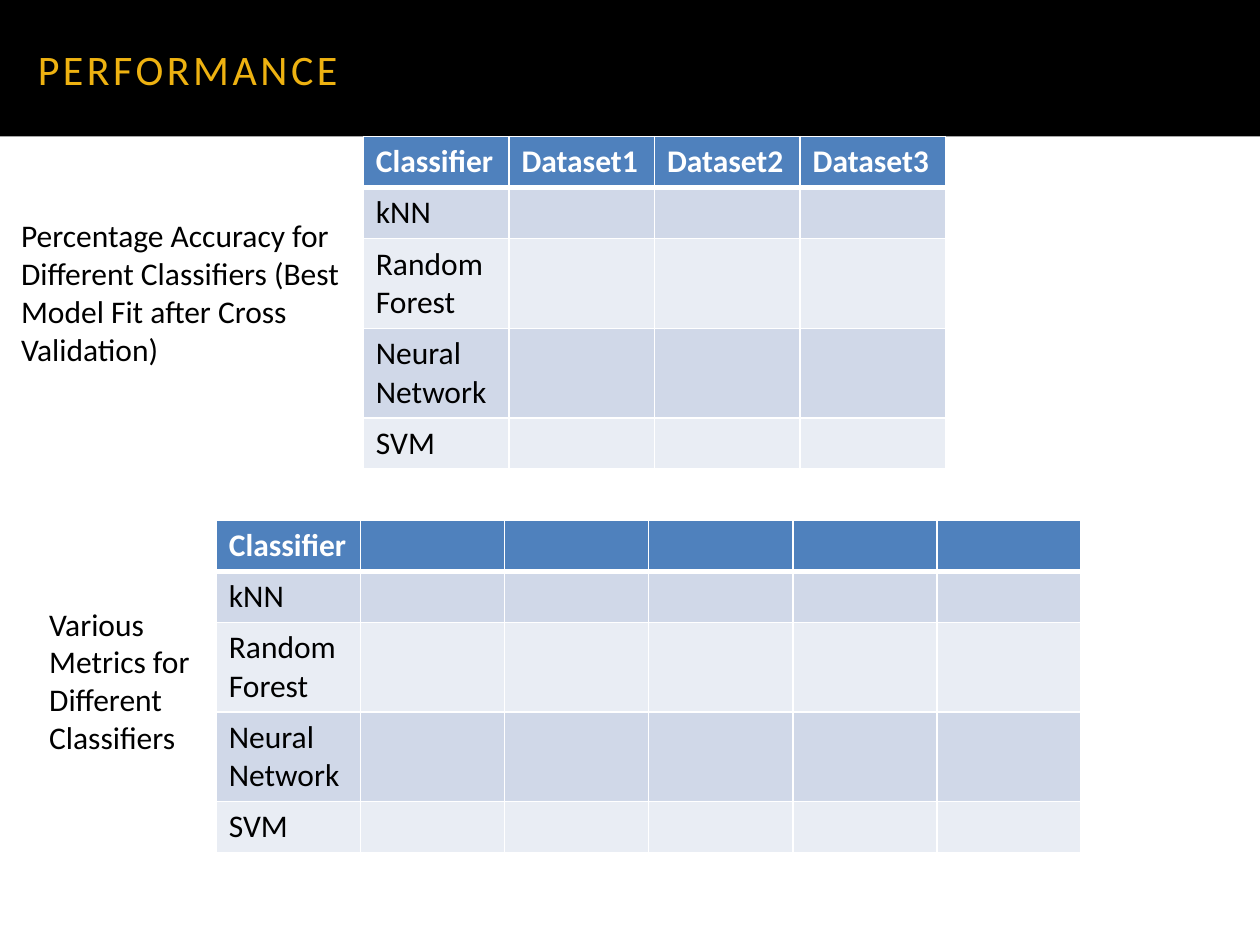
from lxml import etree
from pptx import Presentation
from pptx.dml.color import RGBColor
from pptx.enum.shapes import MSO_SHAPE
from pptx.enum.text import MSO_ANCHOR, PP_ALIGN
from pptx.oxml.ns import qn
from pptx.util import Pt


def color(hex_string):
    return RGBColor.from_string(hex_string)


def add_run(paragraph, text, hex_string, size=18, bold=False):
    run = paragraph.add_run()
    run.text = text
    run.font.name = "Calibri"
    run.font.size = Pt(size)
    run.font.bold = bold
    run.font.color.rgb = color(hex_string)
    return run


prs = Presentation()
prs.slide_width, prs.slide_height = Pt(720), Pt(540)
slide = prs.slides.add_slide(prs.slide_layouts[6])

# Title band
band = slide.shapes.add_shape(MSO_SHAPE.RECTANGLE, 0, 0, Pt(720), Pt(78))
band.shadow.inherit = False
band.fill.solid()
band.fill.fore_color.rgb = color("000000")
band.line.fill.background()
heading = band.text_frame
heading.margin_left = Pt(21.6)
heading.vertical_anchor = MSO_ANCHOR.MIDDLE
heading.paragraphs[0].alignment = PP_ALIGN.LEFT
title = add_run(heading.paragraphs[0], "PERFORMANCE", "EEB211", 24)
title.font._element.set("spc", "200")

# Result tables: left, top, column width, header texts
classifiers = ["kNN", "Random Forest", "Neural Network", "SVM"]
row_heights = [29.2, 29.2, 51, 51, 29.2]
results = [
    (207.6, 78, 83.2, ["Classifier", "Dataset1", "Dataset2", "Dataset3"]),
    (123.6, 297.2, 82.4, ["Classifier"] + [""] * 5),
]
for left, top, column_width, headers in results:
    count = len(headers)
    table = slide.shapes.add_table(
        len(row_heights), count, Pt(left), Pt(top),
        Pt(column_width * count), Pt(sum(row_heights))).table
    for column in table.columns:
        column.width = Pt(column_width)
    for row, height in zip(table.rows, row_heights):
        row.height = Pt(height)

    rows = [headers] + [[name] + [""] * (count - 1) for name in classifiers]
    for r, texts in enumerate(rows):
        is_header = r == 0
        fill = "4F81BD" if is_header else ("E9EDF4", "D0D8E8")[r % 2]
        borders = {"lnL": 1, "lnR": 1,
                   "lnT": 3 if r == 1 else 1, "lnB": 3 if is_header else 1}
        for c, text in enumerate(texts):
            cell = table.cell(r, c)
            properties = cell._tc.get_or_add_tcPr()
            for side, width in borders.items():
                border = etree.SubElement(properties, qn(f"a:{side}"), w=str(Pt(width)))
                solid = etree.SubElement(border, qn("a:solidFill"))
                etree.SubElement(solid, qn("a:srgbClr"), val="FFFFFF")
            cell.fill.solid()
            cell.fill.fore_color.rgb = color(fill)
            if text:
                add_run(cell.text_frame.paragraphs[0], text,
                        "FFFFFF" if is_header else "000000", bold=is_header)

# Captions beside the tables
captions = [
    (5, 120.2, 205, "Percentage Accuracy for Different Classifiers "
                    "(Best Model Fit after Cross Validation)"),
    (21, 342, 102.2, "Various Metrics for Different Classifiers"),
]
for left, top, width, text in captions:
    caption = slide.shapes.add_textbox(Pt(left), Pt(top), Pt(width), Pt(94.4)).text_frame
    caption.word_wrap = True
    add_run(caption.paragraphs[0], text, "000000")

prs.save("out.pptx")
